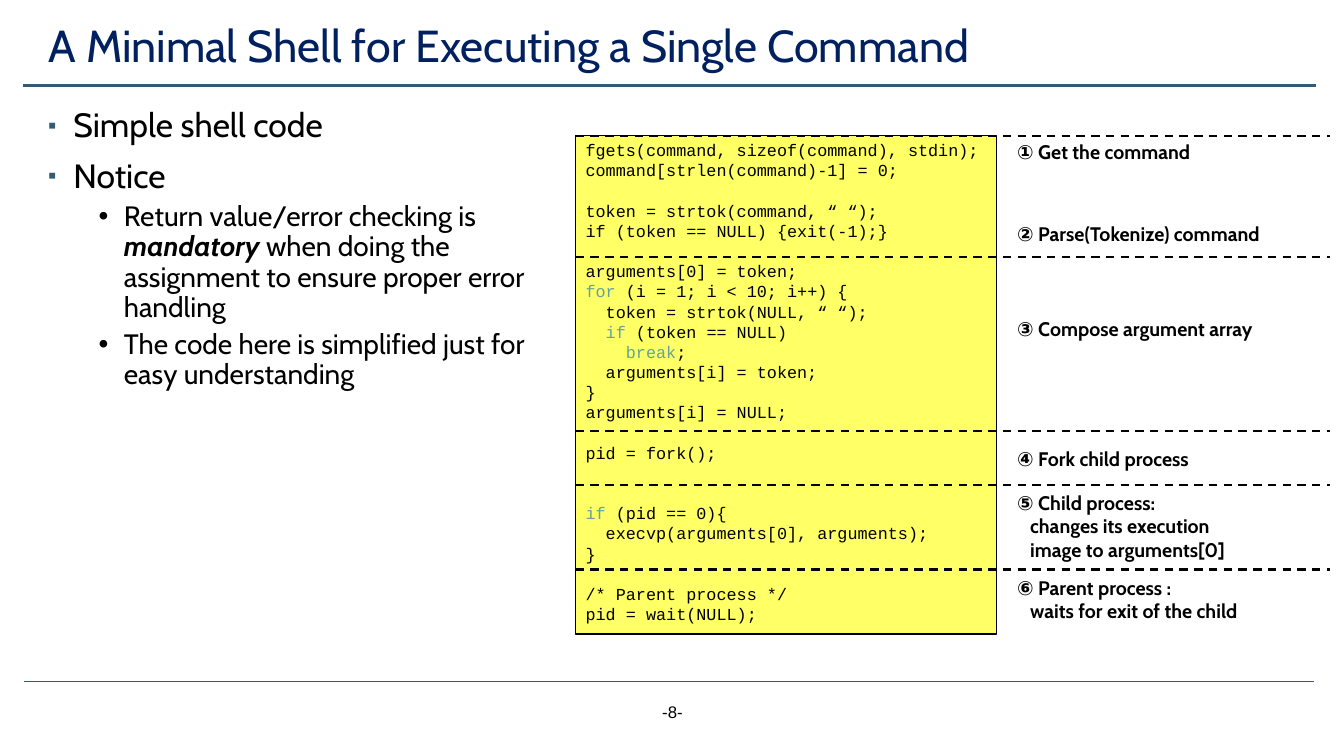
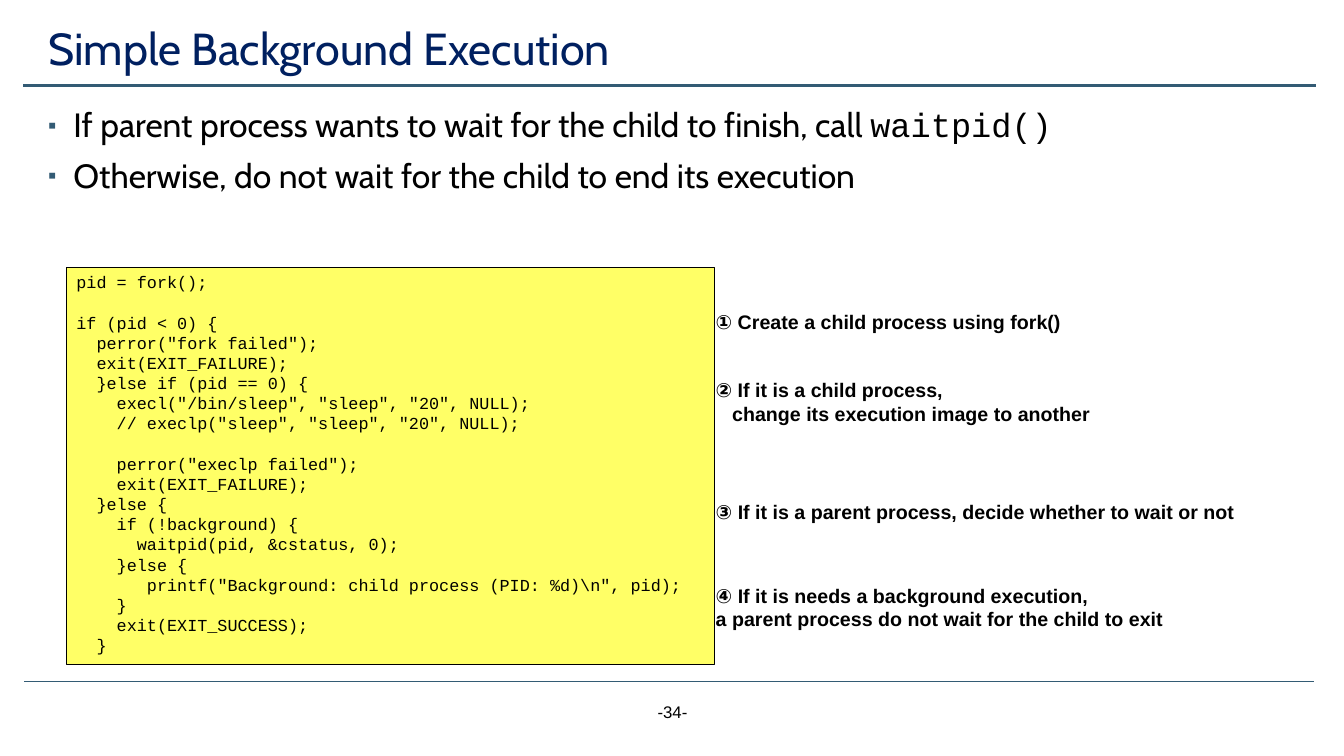
from pptx import Presentation
from pptx.dml.color import RGBColor
from pptx.enum.dml import MSO_LINE
from pptx.enum.shapes import MSO_CONNECTOR, MSO_SHAPE
from pptx.enum.text import MSO_ANCHOR, PP_ALIGN
from pptx.oxml.ns import qn
from pptx.util import Inches, Pt
from lxml import etree

DASH = MSO_LINE.DASH
STRAIGHT = MSO_CONNECTOR.STRAIGHT
RECT = MSO_SHAPE.RECTANGLE
TOP, MIDDLE = MSO_ANCHOR.TOP, MSO_ANCHOR.MIDDLE
LEFT, CENTER = PP_ALIGN.LEFT, PP_ALIGN.CENTER

COLORS = {"title": "002060", "rule": "335B74", "text": "000000",
          "code": "FFFF66", "keyword": "62A39F"}
SANS, ARIAL, MONO = "Cabin", "Arial", "Courier New"
SPACE_EM = {SANS: 0.22, ARIAL: 0.28, MONO: 0.6}  # width of a space
LINE_EM = 1.2  # line pitch of code and notes

# Bullet per level: character, left margin, space before, text size
LEVELS = [("▪", 0.25, 10, 24), ("•", 0.75, 5, 20)]

# Backticks mark coloured keywords
SHELL_CODE = """\
fgets(command, sizeof(command), stdin);
command[strlen(command)-1] = 0;

token = strtok(command, “ “);
if (token == NULL) {exit(-1);}

arguments[0] = token;
`for` (i = 1; i < 10; i++) {
  token = strtok(NULL, “ “);
  `if` (token == NULL)
    `break`;
  arguments[i] = token;
}
arguments[i] = NULL;

pid = fork();


`if` (pid == 0){
  execvp(arguments[0], arguments);
}

/* Parent process */
pid = wait(NULL);"""

BACKGROUND_CODE = r"""pid = fork();

if (pid < 0) {
  perror("fork failed");
  exit(EXIT_FAILURE);
  }else if (pid == 0) {
    execl("/bin/sleep", "sleep", "20", NULL);
    // execlp("sleep", "sleep", "20", NULL);

    perror("execlp failed");
    exit(EXIT_FAILURE);
  }else {
    if (!background) {
      waitpid(pid, &cstatus, 0);
    }else {
       printf("Background: child process (PID: %d)\n", pid);
    }
    exit(EXIT_SUCCESS);
  }"""

# Notes: top edge, width, text
SHELL_NOTES = [
    (1.34, 2.21, "① Get the command"),
    (2.15, 3.09, "② Parse(Tokenize) command"),
    (3.09, 3.09, "③ Compose argument array"),
    (4.38, 2.47, "④ Fork child process"),
    (4.82, 2.98, "⑤ Child process:\n   changes its execution\n   image to arguments[0]"),
    (5.66, 2.98, "⑥ Parent process :\n   waits for exit of the child"),
]
BACKGROUND_NOTES = [
    (3.03, 3.64, "① Create a child process using fork()"),
    (3.7, 6.23, "② If it is a child process,\n   change its execution image to another"),
    (4.91, 5.58, "③ If it is a parent process, decide whether to wait or not"),
    (5.74, 4.99, "④ If it is needs a background execution,\n"
                 "a parent process do not wait for the child to exit"),
]
STEP_LINES = [1.35, 2.55, 4.28, 4.81, 5.65]


def rgb(name):
    return RGBColor.from_string(COLORS[name])


def style_run(r, font, size, color="text", bold=None, italic=None):
    f = r.font
    f.name, f.size, f.bold, f.italic = font, Pt(size), bold, italic
    f.color.rgb = rgb(color)


def add_runs(p, text, base, marked):
    """Write text; the parts between backticks get the marked style as well."""
    for i, part in enumerate(text.split("`")):
        if part:
            r = p.add_run()
            r.text = part
            style_run(r, **(base | marked if i % 2 else base))


def next_paragraph(tf, first):
    return tf.paragraphs[0] if first else tf.add_paragraph()


def add_line(s, x1, y1, x2, y2, color, width, dash=None):
    c = s.shapes.add_connector(STRAIGHT, Inches(x1), Inches(y1), Inches(x2), Inches(y2))
    c.line.color.rgb = rgb(color)
    c.line.width = Pt(width)
    if dash:
        c.line.dash_style = dash
    etree.SubElement(c._element.spPr, qn("a:effectLst"))


def add_text_box(s, x, y, w, h, wrap=True):
    tf = s.shapes.add_textbox(Inches(x), Inches(y), Inches(w), Inches(h)).text_frame
    tf.word_wrap = wrap
    return tf


def fill_lines(tf, text, font, size, bold=None):
    """Turn blank lines into space before and leading spaces into a margin."""
    pitch = size * LINE_EM
    first, blanks = True, 0
    for line in text.split("\n"):
        if not line:
            blanks += 1
            continue
        p = next_paragraph(tf, first)
        code = line.lstrip()
        p.alignment = LEFT
        p.line_spacing = Pt(pitch)
        p.space_before = Pt(blanks * pitch)
        margin = Pt((len(line) - len(code)) * SPACE_EM[font] * size)
        p._p.get_or_add_pPr().set("marL", str(margin))
        add_runs(p, code, {"font": font, "size": size, "bold": bold},
                 {"color": "keyword"})
        first, blanks = False, 0


def add_code(s, x, y, w, h, code):
    sp = s.shapes.add_shape(RECT, Inches(x), Inches(y), Inches(w), Inches(h))
    sp.shadow.inherit = False
    sp.fill.solid()
    sp.fill.fore_color.rgb = rgb("code")
    sp.line.color.rgb = rgb("text")
    sp.line.width = Pt(0.75)
    tf = sp.text_frame
    tf.word_wrap = False
    tf.vertical_anchor = TOP
    fill_lines(tf, code, MONO, 12)


def add_notes(s, x, notes, font):
    for y, w, text in notes:
        h = 0.1 + 0.24 * len(text.split("\n"))
        fill_lines(add_text_box(s, x, y, w, h, wrap=False), text, font, 14, bold=True)


def add_bullet(p, char, margin, color=None, percent=None):
    pPr = p._p.get_or_add_pPr()
    pPr.set("marL", str(Inches(margin)))
    pPr.set("indent", str(Inches(-0.25)))
    if color:
        clr = etree.SubElement(pPr, qn("a:buClr"))
        etree.SubElement(clr, qn("a:srgbClr")).set("val", COLORS[color])
    if percent:
        etree.SubElement(pPr, qn("a:buSzPct")).set("val", str(percent * 1000))
    etree.SubElement(pPr, qn("a:buFont")).set("typeface", ARIAL)
    etree.SubElement(pPr, qn("a:buChar")).set("char", char)


def add_bullets(s, w, items, marked):
    tf = add_text_box(s, 0.38, 1.03, w, 5.62)
    for i, (level, text) in enumerate(items):
        char, margin, before, size = LEVELS[level]
        p = next_paragraph(tf, i == 0)
        p.level = level
        p.line_spacing = 0.9
        p.space_before = Pt(before)
        add_bullet(p, char, margin, *(("rule", 70) if level == 0 else ()))
        add_runs(p, text, {"font": SANS, "size": size}, marked)


def add_slide(prs, title, title_top, number):
    """Start a slide with the shared rules, page number and title."""
    s = prs.slides.add_slide(prs.slide_layouts[5])
    add_line(s, 0.24, 6.76, 13.03, 6.76, "rule", 0.5)
    add_line(s, 0.23, 0.85, 13.05, 0.85, "rule", 1.75)

    p = add_text_box(s, 5.17, 6.91, 3, 0.4).paragraphs[0]
    p.text = f"-{number}-"
    p.alignment = CENTER
    style_run(p.runs[0], ARIAL, 12)

    sp = s.shapes.title
    sp.left, sp.top = Inches(0.38), Inches(title_top)
    sp.width, sp.height = Inches(12.43), Inches(0.63)
    tf = sp.text_frame
    tf.text = title
    tf.vertical_anchor = MIDDLE
    p = tf.paragraphs[0]
    p.alignment = LEFT
    p.line_spacing = 0.9
    style_run(p.runs[0], SANS, 32, "title")
    return s


def main():
    prs = Presentation()
    prs.slide_width, prs.slide_height = Inches(13.33), Inches(7.5)

    # Minimal shell
    s = add_slide(prs, "A Minimal Shell for Executing a Single Command", 0.16, 8)
    add_bullets(s, 5.42, [
        (0, "Simple shell code"),
        (0, "Notice"),
        (1, "Return value/error checking is `mandatory` when doing the "
            "assignment to ensure proper error handling"),
        (1, "The code here is simplified just for easy understanding"),
    ], {"bold": True, "italic": True})
    add_code(s, 5.71, 1.34, 4.17, 4.95, SHELL_CODE)
    for y in STEP_LINES:
        add_line(s, 5.71, y, 13.19, y, "text", 1.5, DASH)
    add_notes(s, 9.99, SHELL_NOTES, SANS)

    # Background execution
    s = add_slide(prs, "Simple Background Execution", 0.19, 34)
    add_bullets(s, 12.43, [
        (0, "If parent process wants to wait for the child to finish, call `waitpid()`"),
        (0, "Otherwise, do not wait for the child to end its execution"),
    ], {"font": MONO})
    add_code(s, 0.66, 2.65, 6.43, 3.94, BACKGROUND_CODE)
    add_notes(s, 7, BACKGROUND_NOTES, ARIAL)

    prs.save("out.pptx")


if __name__ == "__main__":
    main()
